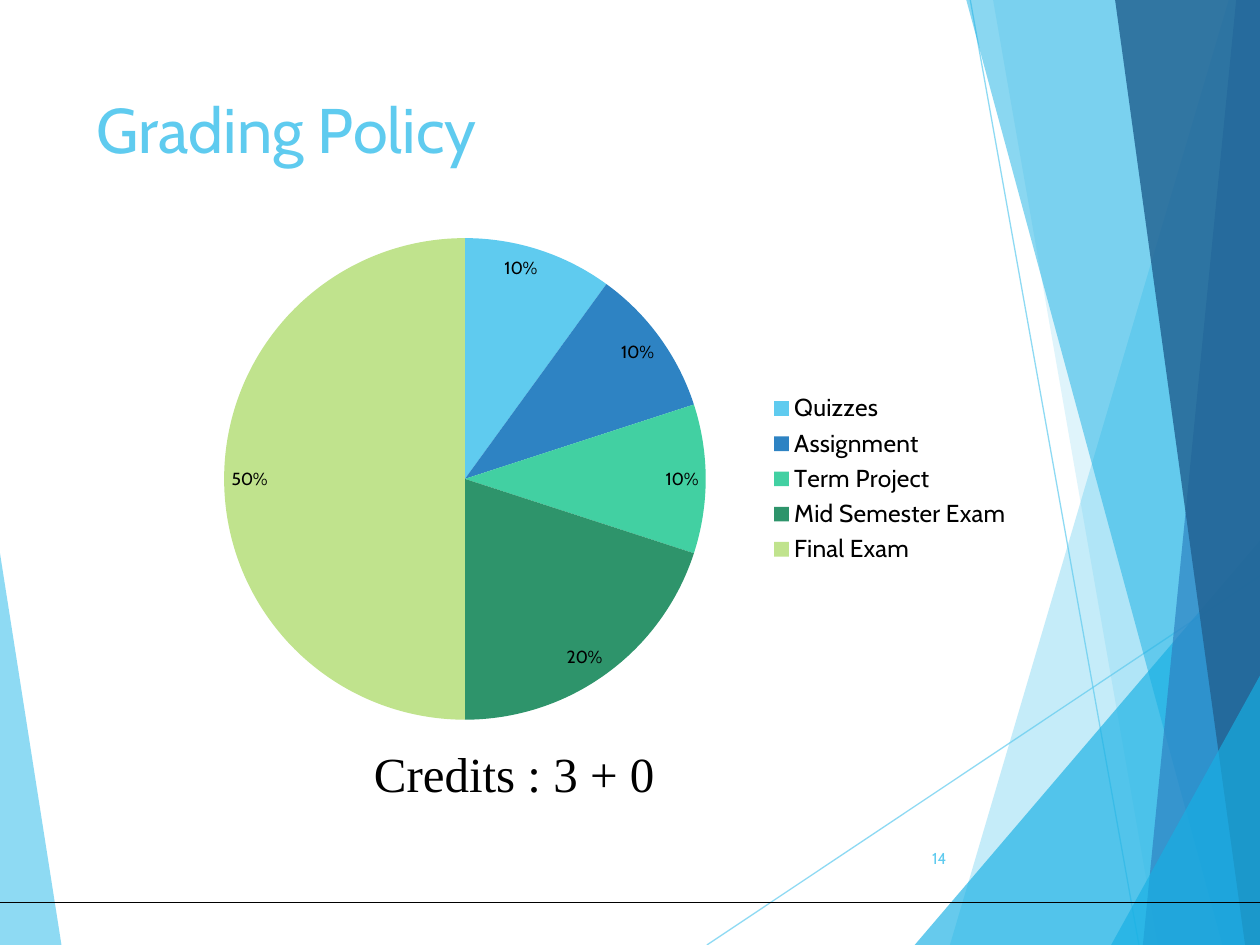
from lxml import etree
from pptx import Presentation
from pptx.chart.data import CategoryChartData
from pptx.dml.color import RGBColor
from pptx.enum.chart import XL_CHART_TYPE as ChartType
from pptx.enum.chart import XL_LABEL_POSITION as LabelPosition
from pptx.enum.chart import XL_LEGEND_POSITION as LegendPosition
from pptx.enum.shapes import MSO_CONNECTOR as Connector
from pptx.enum.text import MSO_ANCHOR as Anchor
from pptx.enum.text import PP_ALIGN as Align
from pptx.oxml.ns import qn
from pptx.util import Cm, Pt

COLORS = {
    "sky": "5FCBEF",
    "cyan": "17B0E4",
    "blue": "2E83C3",
    "navy": "226292",
    "mint": "42D0A2",
    "green": "2E946B",
    "lime": "C0E38D",
    "black": "000000",
}
WIDTH, HEIGHT = 25.4, 19.05


class SlideBuilder:
    body_font = "Cabin"

    def __init__(self, slide):
        self.slide = slide
        self.shapes = slide.shapes

    def color(self, name):
        return RGBColor.from_string(COLORS[name])

    def fade(self, fill_owner, opacity):
        for color in fill_owner.iter(qn("a:srgbClr")):
            etree.SubElement(color, qn("a:alpha"), val=str(opacity * 1000))

    def style_font(self, font, size, color="black", name=None):
        font.name = name or self.body_font
        font.size = Pt(size)
        font.color.rgb = self.color(color)

    def polygon(self, points, color, opacity):
        start, *others = [(Cm(x), Cm(y)) for x, y in points]
        builder = self.shapes.build_freeform(*start)
        builder.add_line_segments(others, close=True)
        shape = builder.convert_to_shape()
        shape.shadow.inherit = False
        shape.fill.solid()
        shape.fill.fore_color.rgb = self.color(color)
        shape.line.fill.background()
        self.fade(shape.element.spPr, opacity)

    def band(self, top_x, bottom_x, color, opacity):
        """Strip from a slanted left side to the right slide edge."""
        self.polygon([(top_x, 0), (bottom_x, HEIGHT), (WIDTH, HEIGHT), (WIDTH, 0)],
                     color, opacity)

    def wedge(self, bottom_x, edge_y, edge_x, color, opacity):
        """Triangle in a bottom corner, rising along a slide edge."""
        self.polygon([(bottom_x, HEIGHT), (edge_x, edge_y), (edge_x, HEIGHT)],
                     color, opacity)

    def line(self, start, end, color, opacity=100):
        ends = [Cm(value) for value in (*start, *end)]
        connector = self.shapes.add_connector(Connector.STRAIGHT, *ends)
        connector.line.width = Pt(0.75)
        connector.line.color.rgb = self.color(color)
        properties = connector.element.spPr
        if opacity < 100:
            self.fade(properties, opacity)
        etree.SubElement(properties, qn("a:effectLst"))

    def title(self, text, left, top, width, height):
        title = self.shapes.title
        title.left, title.top = Cm(left), Cm(top)
        title.width, title.height = Cm(width), Cm(height)
        frame = title.text_frame
        frame.text = text
        frame.vertical_anchor = Anchor.TOP
        paragraph = frame.paragraphs[0]
        paragraph.alignment = Align.LEFT
        self.style_font(paragraph.font, 36, "sky")

    def text(self, text, box, size, color="black", name=None,
             align=Align.LEFT, anchor=Anchor.TOP, wrap=True):
        frame = self.shapes.add_textbox(*map(Cm, box)).text_frame
        frame.text = text
        frame.word_wrap = wrap
        frame.vertical_anchor = anchor
        paragraph = frame.paragraphs[0]
        paragraph.alignment = align
        self.style_font(paragraph.font, size, color, name)

    def pie(self, shares, box):
        data = CategoryChartData(number_format="0%")
        data.categories = [category for category, _, _ in shares]
        data.add_series("Series 1", [share for _, share, _ in shares])
        chart = self.shapes.add_chart(ChartType.PIE, *map(Cm, box), data).chart
        chart.has_title = False
        self.style_font(chart.font, 10)

        chart.has_legend = True
        chart.legend.position = LegendPosition.RIGHT
        chart.legend.include_in_layout = False
        self.style_font(chart.legend.font, 14)

        plot = chart.plots[0]
        plot.vary_by_categories = True
        plot.has_data_labels = True
        labels = plot.data_labels
        labels.show_value = True
        labels.show_percentage = False
        labels.number_format = "0%"
        labels.number_format_is_linked = False
        labels.position = LabelPosition.INSIDE_END
        self.style_font(labels.font, 10)
        for index, (_, _, color) in enumerate(shares):
            fill = plot.series[0].points[index].format.fill
            fill.solid()
            fill.fore_color.rgb = self.color(color)


def main():
    deck = Presentation()
    deck.slide_width, deck.slide_height = Cm(WIDTH), Cm(HEIGHT)
    page = SlideBuilder(deck.slides.add_slide(deck.slide_layouts[5]))

    # Background facets
    page.wedge(1.24, 11.15, 0, "sky", 70)
    page.line((14.25, HEIGHT), (WIDTH, 11.61), "sky", 70)
    page.line((19.56, 0), (22.96, HEIGHT), "sky", 70)
    page.band(24.77, 19.15, "sky", 36)
    page.band(20.02, 23.34, "sky", 20)
    page.wedge(18.44, 10.9, WIDTH, "cyan", 66)
    page.band(19.48, 24.64, "cyan", 50)
    page.band(24.92, 23.04, "blue", 70)
    page.band(22.48, 25.1, "navy", 82)
    page.wedge(22.4, 13.62, WIDTH, "cyan", 66)

    # Footer rule and page number
    page.line((0, 18.2), (WIDTH, 18.2), "black")
    page.text("14", (17.91, 16.79, 1.42, 1.02), 9, "sky",
              align=Align.RIGHT, anchor=Anchor.MIDDLE)

    # Title
    page.title("Grading Policy", 1.7, 1.7, 17.63, 3.66)

    # Grade shares
    page.pie([
        ("Quizzes", 0.1, "sky"),
        ("Assignment", 0.1, "blue"),
        ("Term Project", 0.1, "mint"),
        ("Mid Semester Exam", 0.2, "green"),
        ("Final Exam", 0.5, "lime"),
    ], (3.3, 4.45, 17.35, 10.41))

    # Credit hours
    page.text("Credits : 3 + 0", (7.29, 14.86, 6.22, 1.45), 28,
              name="Times New Roman", wrap=False)

    deck.save("out.pptx")


if __name__ == "__main__":
    main()
